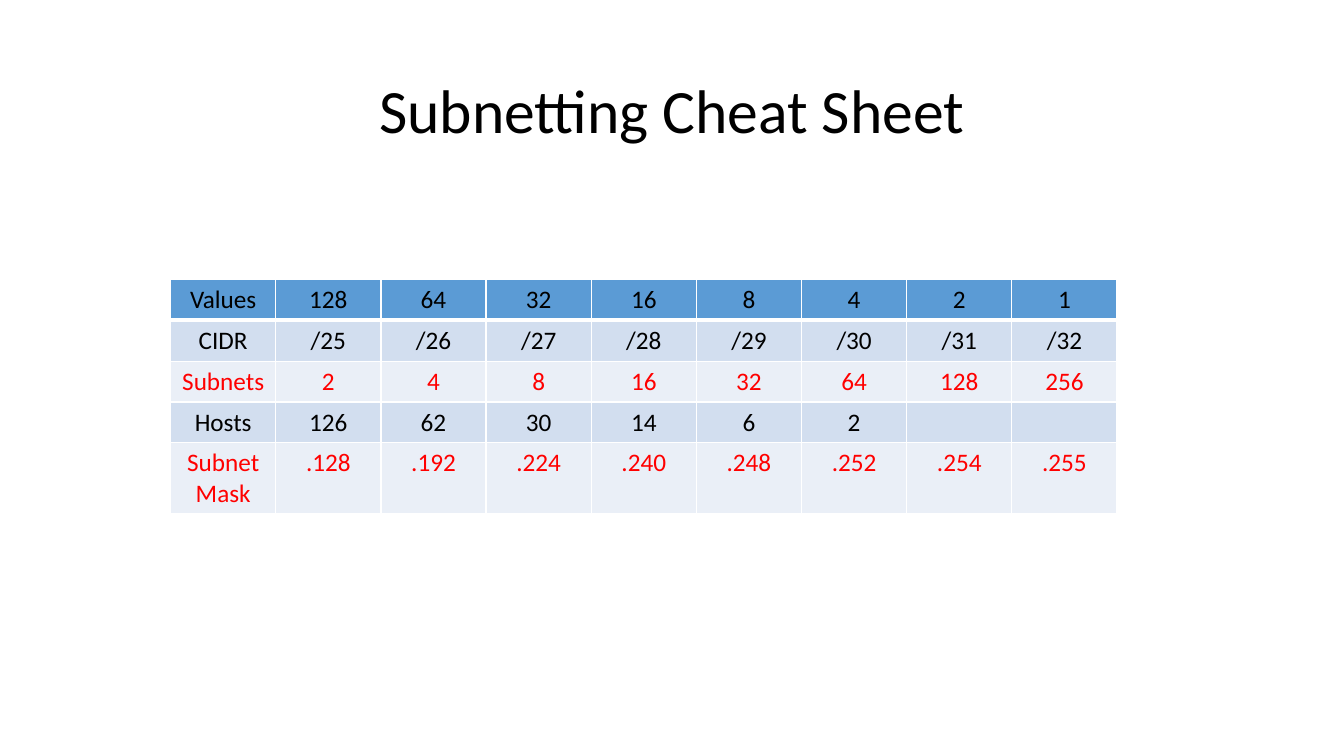
from lxml.etree import SubElement
from pptx import Presentation
from pptx.dml.color import RGBColor
from pptx.enum.text import MSO_ANCHOR, PP_ALIGN
from pptx.oxml.ns import qn
from pptx.util import Cm, Pt

BLACK = RGBColor(0x00, 0x00, 0x00)
RED = RGBColor(0xFF, 0x00, 0x00)
WHITE = RGBColor(0xFF, 0xFF, 0xFF)
HEADER_BLUE = RGBColor(0x5B, 0x9B, 0xD5)
BAND_DARK = RGBColor(0xD2, 0xDE, 0xEF)
BAND_LIGHT = RGBColor(0xEA, 0xEF, 0xF7)

TITLE = "Subnetting Cheat Sheet"
ROWS = [
    ("Values", "128", "64", "32", "16", "8", "4", "2", "1"),
    ("CIDR", "/25", "/26", "/27", "/28", "/29", "/30", "/31", "/32"),
    ("Subnets", "2", "4", "8", "16", "32", "64", "128", "256"),
    ("Hosts", "126", "62", "30", "14", "6", "2", "", ""),
    ("Subnet Mask", ".128", ".192", ".224", ".240", ".248", ".252", ".254", ".255"),
]
ROW_FILLS = [HEADER_BLUE, BAND_DARK, BAND_LIGHT, BAND_DARK, BAND_LIGHT]
ROW_COLOURS = [BLACK, BLACK, RED, BLACK, RED]
ROW_HEIGHTS = [Cm(1.03)] * 4 + [Cm(1.78)]
COLUMN_WIDTH = Cm(2.65)


def write(frame, text, size, colour, **paragraph_format):
    para = frame.paragraphs[0]
    for name, value in {"alignment": PP_ALIGN.CENTER, **paragraph_format}.items():
        setattr(para, name, value)
    if not text:
        para.font.size = size
        return
    span = para.add_run()
    span.text = text
    font_format = {"name": "Calibri", "size": size, "bold": False}
    for name, value in font_format.items():
        setattr(span.font, name, value)
    span.font.color.rgb = colour


def add_borders(cell, row_index):
    """White cell edges, thicker between the header and the body."""
    widths = {
        "L": 1,
        "R": 1,
        "T": 3 if row_index == 1 else 1,
        "B": 3 if row_index == 0 else 1,
    }
    properties = cell._tc.get_or_add_tcPr()
    for side, width in widths.items():
        line = SubElement(properties, qn(f"a:ln{side}"), w=str(Pt(width)))
        SubElement(SubElement(line, qn("a:solidFill")), qn("a:srgbClr"), val=str(WHITE))


def add_title(page):
    box = page.shapes.add_textbox(Cm(2.33), Cm(1.01), Cm(29.21), Cm(3.68))
    frame = box.text_frame
    for name, value in {"word_wrap": True, "vertical_anchor": MSO_ANCHOR.MIDDLE}.items():
        setattr(frame, name, value)
    write(frame, TITLE, Pt(44), BLACK, line_spacing=0.9)


def add_subnet_table(page):
    column_count = len(ROWS[0])
    table = page.shapes.add_table(
        len(ROWS), column_count, Cm(4.3), Cm(7.04),
        COLUMN_WIDTH * column_count, sum(ROW_HEIGHTS),
    ).table
    for column in table.columns:
        column.width = COLUMN_WIDTH
    for r, texts in enumerate(ROWS):
        table.rows[r].height = ROW_HEIGHTS[r]
        for c, text in enumerate(texts):
            cell = table.cell(r, c)
            add_borders(cell, r)
            cell.fill.solid()
            cell.fill.fore_color.rgb = ROW_FILLS[r]
            write(cell.text_frame, text, Pt(18), ROW_COLOURS[r])


def main():
    deck = Presentation()
    deck.slide_width, deck.slide_height = Cm(33.87), Cm(19.05)
    page = deck.slides.add_slide(deck.slide_layouts[6])
    add_title(page)
    add_subnet_table(page)
    deck.save("out.pptx")


if __name__ == "__main__":
    main()
